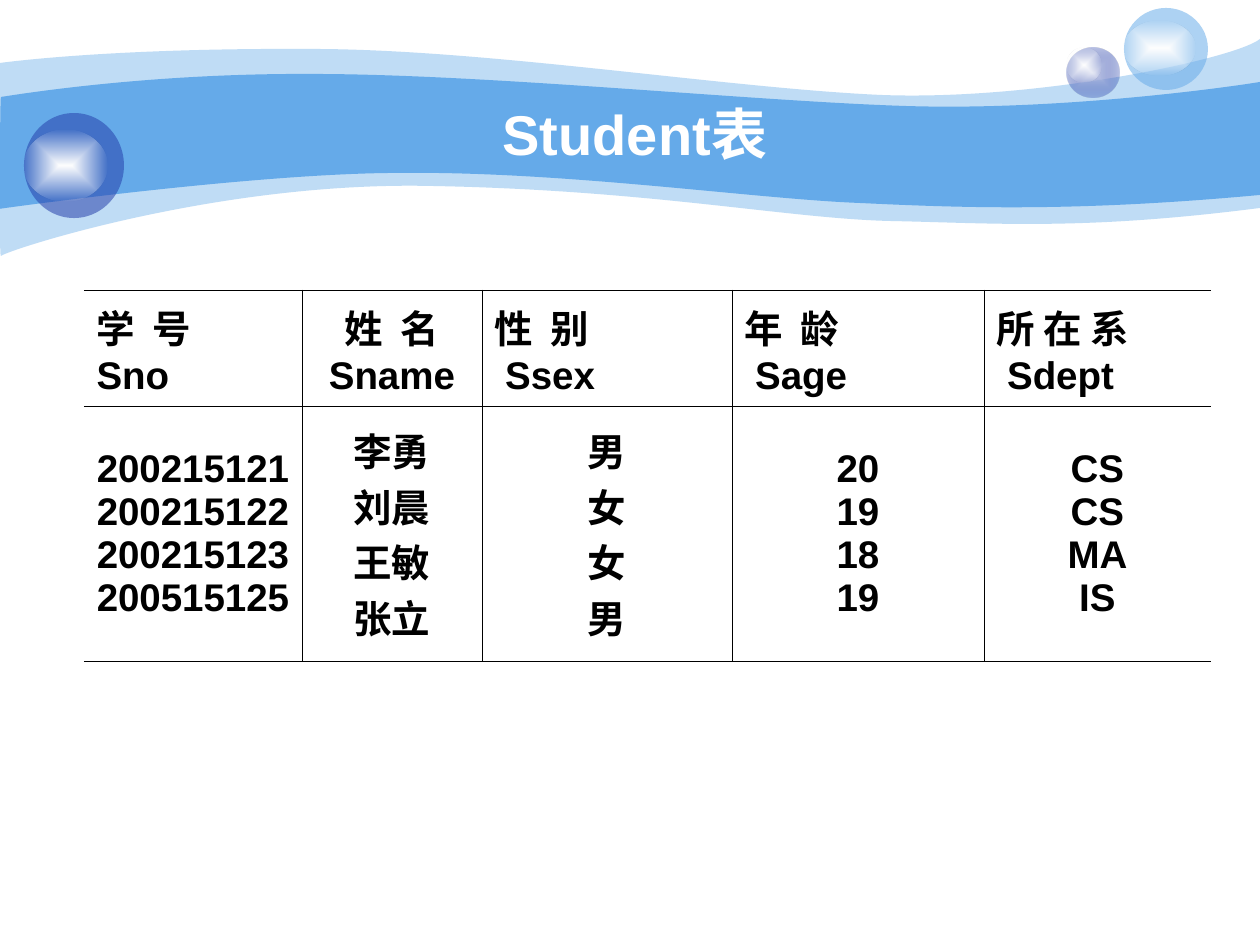
from lxml.etree import SubElement
from pptx import Presentation
from pptx.dml.color import RGBColor
from pptx.enum.shapes import MSO_SHAPE
from pptx.enum.text import MSO_ANCHOR, PP_ALIGN
from pptx.oxml.ns import qn
from pptx.util import Pt

SCALE = 914400 / 126
FONT = "Arial"
WHITE = RGBColor(0xFF, 0xFF, 0xFF)
BLACK = RGBColor(0, 0, 0)
SKY = RGBColor(0x65, 0xAA, 0xE9)
NAVY = RGBColor(0x23, 0x3D, 0xA9)
PALE = RGBColor(0xC7, 0xCE, 0xE9)

# A pair is a straight line; six numbers are a Bezier curve.
OUTER = [(0, 63), (30, 59, 135, 48, 311, 49), (486, 49, 725, 88, 881, 95),
         (1036, 101, 1235, 59, 1260, 39), (1260, 208),
         (1081, 231, 992, 223, 888, 221), (784, 218, 649, 190, 432, 186),
         (217, 181, 5, 251, 1, 256), (-1, 262, 0, 95, 0, 63)]
INNER = [(1, 97), (3, 97, 139, 73, 312, 74), (486, 74, 750, 101, 905, 106),
         (1060, 111, 1230, 87, 1260, 82), (1260, 195),
         (1075, 212, 964, 208, 859, 203), (755, 199, 563, 171, 399, 173),
         (256, 173, -3, 209, -1, 209), (0, 209, 0, 97, 1, 97)]

WIDTHS = [218, 180, 250, 252, 227]
HEIGHTS = [116, 255]
HEADS = [["学  号", "Sno"], ["姓  名", "Sname"], ["性  别", " Ssex"],
         ["年  龄", " Sage"], ["所 在 系", " Sdept"]]
STUDENTS = [("200215121", "李勇", "男", "20", "CS"),
            ("200215122", "刘晨", "女", "19", "CS"),
            ("200215123", "王敏", "女", "18", "MA"),
            ("200515125", "张立", "男", "19", "IS")]


def px(n):
    return round(n * SCALE)


def fade(shape, *alphas):
    """Set the opacity, in percent, of each fill colour in turn."""
    tones = shape.element.spPr.iter(qn("a:srgbClr"))
    for tone, alpha in zip(tones, alphas):
        if alpha < 100:
            SubElement(tone, qn("a:alpha"), val=str(alpha * 1000))


def paint(shape, color, alpha=100):
    shape.shadow.inherit = False
    shape.line.fill.background()
    shape.fill.solid()
    shape.fill.fore_color.rgb = color
    fade(shape, alpha)


def glow(shape, core, rim, alpha):
    """Fill from the core colour at the centre to a faded rim."""
    shape.shadow.inherit = False
    shape.line.fill.background()
    shape.fill.gradient()
    for stop, color in zip(shape.fill.gradient_stops, (core, rim)):
        stop.color.rgb = color
    fade(shape, 100, alpha)
    grad = shape.element.spPr.find(qn("a:gradFill"))
    grad.remove(grad.find(qn("a:lin")))
    focus = SubElement(grad, qn("a:path"), path="rect")
    SubElement(focus, qn("a:fillToRect"), l="50000", t="50000", r="50000", b="50000")


def bend(shape, parts):
    """Turn each three lines that stand for a curve into one Bezier."""
    outline = next(shape.element.iter(qn("a:path")))
    lines = iter(outline.findall(qn("a:lnTo")))
    for part in parts:
        line = next(lines)
        if len(part) == 6:
            arc = outline.makeelement(qn("a:cubicBezTo"))
            line.addprevious(arc)
            for step in (line, next(lines), next(lines)):
                arc.append(step[0])
                outline.remove(step)


def add_wave(slide, parts, alpha):
    pts = [(px(part[i]), px(part[i + 1]))
           for part in parts for i in range(0, len(part), 2)]
    form = slide.shapes.build_freeform(*pts[0], scale=1.0)
    form.add_line_segments(pts[1:], close=True)
    wave = form.convert_to_shape()
    bend(wave, parts[1:])
    paint(wave, SKY, alpha)


def add_orb(slide, ball, shine, color, alpha, core=None):
    """Draw a ball with a soft white highlight; a core makes the ball glow."""
    group = slide.shapes.add_group_shape()
    body, light = (group.shapes.add_shape(MSO_SHAPE.OVAL, *map(px, box))
                   for box in (ball, shine))
    if core:
        glow(body, core, color, alpha)
    else:
        paint(body, color, alpha)
    glow(light, WHITE, WHITE, 0)


def write(frame, lines, size, color, align):
    frame.text = "\n".join(lines)
    for para in frame.paragraphs:
        para.alignment = align
        font = para.font
        font.name, font.size, font.bold = FONT, Pt(size), True
        font.color.rgb = color


def add_title(slide, text):
    box = slide.shapes.add_textbox(px(126), px(94), px(1018), px(78))
    box.text_frame.word_wrap = True
    box.text_frame.vertical_anchor = MSO_ANCHOR.MIDDLE
    write(box.text_frame, [text], 32, WHITE, PP_ALIGN.CENTER)


def rule(cell, first, last):
    """Rule every side of a cell but the outer left and right."""
    props = cell._tc.get_or_add_tcPr()
    for side in "LRTB":
        line = SubElement(props, qn("a:ln" + side), w=str(Pt(0.45)))
        if (side == "L" and first) or (side == "R" and last):
            SubElement(line, qn("a:noFill"))
        else:
            fill = SubElement(line, qn("a:solidFill"))
            SubElement(fill, qn("a:srgbClr"), val=str(BLACK))


def add_grid(slide):
    rows = [HEADS, list(zip(*STUDENTS))]
    frame = slide.shapes.add_table(len(rows), len(WIDTHS), px(84), px(290),
                                   px(sum(WIDTHS)), px(sum(HEIGHTS)))
    table = frame.table
    table.first_row = table.horz_banding = False
    for col, width in zip(table.columns, WIDTHS):
        col.width = px(width)
    for r, row in enumerate(rows):
        table.rows[r].height = px(HEIGHTS[r])
        for c, lines in enumerate(row):
            cell = table.cell(r, c)
            left = r == 0 and c != 1
            write(cell.text_frame, lines, 22, BLACK,
                  PP_ALIGN.LEFT if left else PP_ALIGN.CENTER)
            cell.vertical_anchor = MSO_ANCHOR.MIDDLE
            rule(cell, c == 0, c == len(row) - 1)
            cell.fill.background()


def main():
    deck = Presentation()
    deck.slide_width, deck.slide_height = px(1260), px(945)
    slide = deck.slides.add_slide(deck.slide_layouts[6])
    add_wave(slide, OUTER, 41)
    add_wave(slide, INNER, 100)
    add_orb(slide, (1067, 48, 53, 50), (1067, 48, 35, 34), NAVY, 31, PALE)
    add_orb(slide, (1124, 8, 84, 82), (1124, 21, 71, 54), SKY, 53)
    add_orb(slide, (24, 113, 100, 105), (24, 130, 83, 71), NAVY, 53)
    add_title(slide, "Student表")
    add_grid(slide)
    deck.save("out.pptx")


if __name__ == "__main__":
    main()
